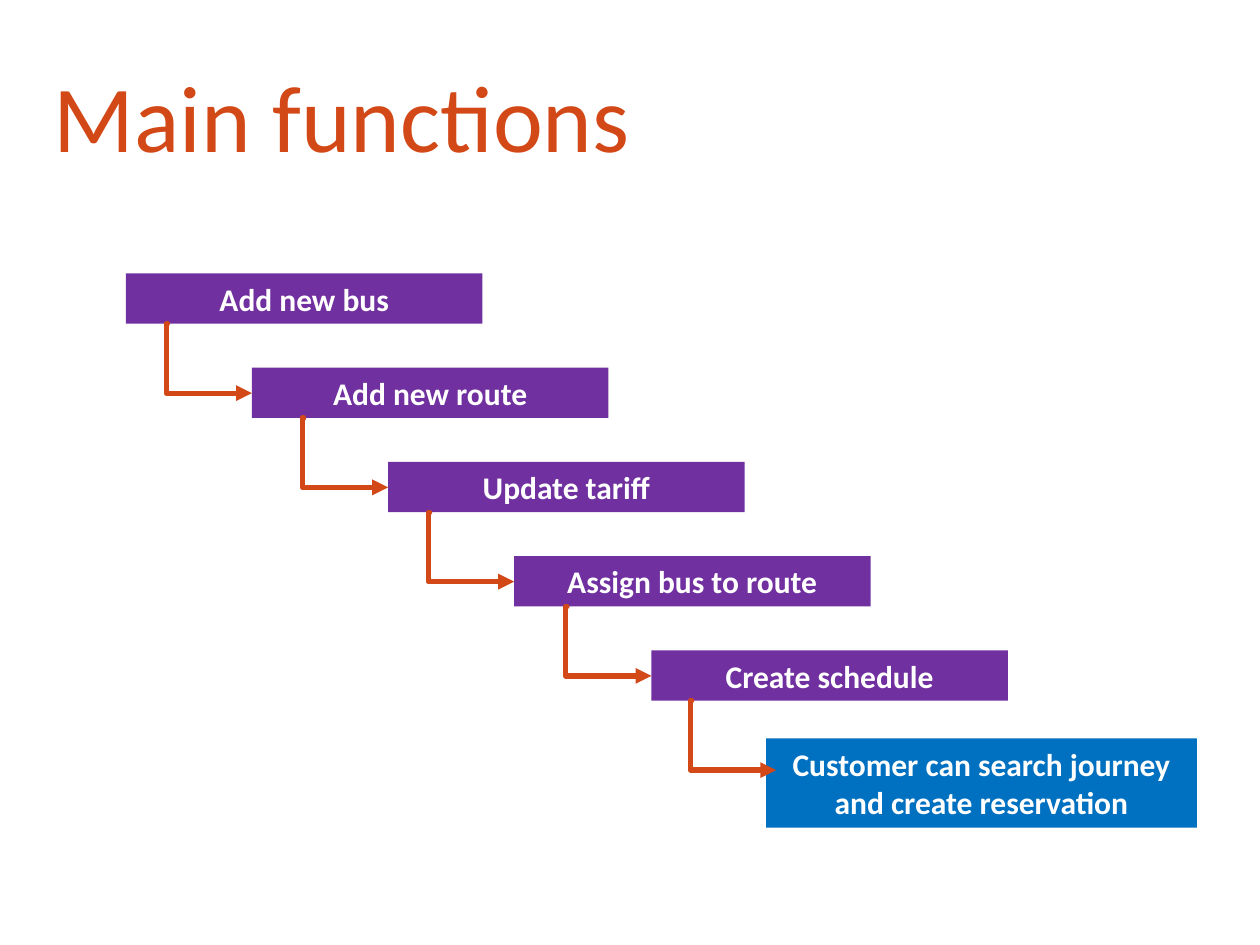
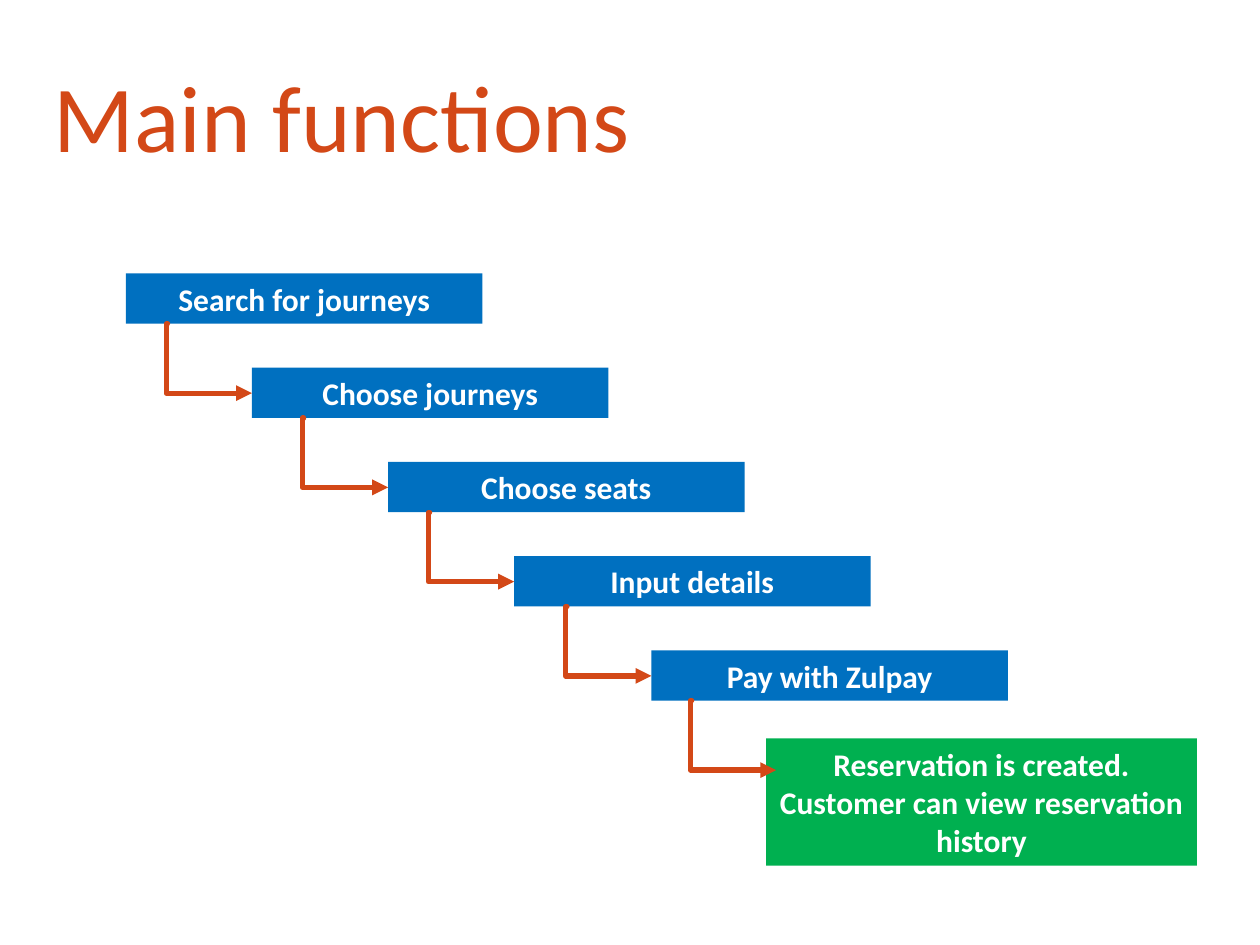
from dataclasses import dataclass

from pptx import Presentation
from pptx.dml.color import RGBColor
from pptx.enum.shapes import MSO_CONNECTOR, MSO_SHAPE
from pptx.enum.text import MSO_ANCHOR, PP_ALIGN
from pptx.oxml.ns import qn
from pptx.util import Inches, Pt
from lxml import etree

ELBOW = MSO_CONNECTOR.ELBOW
RECTANGLE = MSO_SHAPE.RECTANGLE
CENTER, LEFT = PP_ALIGN.CENTER, PP_ALIGN.LEFT
MIDDLE, BOTTOM = MSO_ANCHOR.MIDDLE, MSO_ANCHOR.BOTTOM


@dataclass(frozen=True)
class Theme:
    font: str = "Calibri"
    accent: str = "D34817"
    admin: str = "7030A0"
    customer: str = "0070C0"
    result: str = "00B050"
    label: str = "FFFFFF"
    title_size: int = 54
    label_size: int = 18
    arrow_width: int = 3


THEME = Theme()

TITLE = "Main functions"
FLOWS = [
    {
        "steps": ["Add new bus", "Add new route", "Update tariff",
                  "Assign bus to route", "Create schedule"],
        "step_color": THEME.admin,
        "outcome": "Customer can search journey and create reservation",
        "outcome_color": THEME.customer,
        "outcome_height": 0.71,
    },
    {
        "steps": ["Search for journeys", "Choose journeys", "Choose seats",
                  "Input details", "Pay with Zulpay"],
        "step_color": THEME.customer,
        "outcome": "Reservation is created. Customer can view reservation history",
        "outcome_color": THEME.result,
        "outcome_height": 1.01,
    },
]

STEP_LEFTS = [1, 2, 3.08, 4.08, 5.17]
ARROW_ENDS = STEP_LEFTS[1:] + [6.16]
STEP_TOP, STEP_PITCH = 2.17, 0.748
STEP_WIDTH, STEP_HEIGHT = 2.83, 0.4
ARROW_RUN, ARROW_DROP = 0.67, 0.55
OUTCOME_LEFT, OUTCOME_TOP, OUTCOME_WIDTH = 6.08, 5.86, 3.42


def write(shape, text, anchor, align, spacing, color, **font_format):
    frame = shape.text_frame
    frame.word_wrap = True
    frame.vertical_anchor = anchor
    para = frame.paragraphs[0]
    para.alignment = align
    para.line_spacing = spacing
    span = para.add_run()
    span.text = text
    span.font.color.rgb = RGBColor.from_string(color)
    for name, value in {"name": THEME.font, **font_format}.items():
        setattr(span.font, name, value)


def add_title(page):
    box = page.shapes.add_textbox(*map(Inches, (0.33, 0.5, 5.17, 0.92)))
    write(box, TITLE, BOTTOM, LEFT, 0.9, THEME.accent, size=Pt(THEME.title_size))


def add_box(page, text, color, *place):
    box = page.shapes.add_shape(RECTANGLE, *map(Inches, place))
    box.shadow.inherit = False
    box.fill.solid()
    box.fill.fore_color.rgb = RGBColor.from_string(color)
    box.line.fill.background()
    write(box, text, MIDDLE, CENTER, 1.0, THEME.label,
          size=Pt(THEME.label_size), bold=True)


def add_arrow(page, end_left, top):
    arrow = page.shapes.add_connector(ELBOW, *map(Inches, (
        end_left - ARROW_RUN, top, end_left, top + ARROW_DROP)))
    arrow.line.color.rgb = RGBColor.from_string(THEME.accent)
    arrow.line.width = Pt(THEME.arrow_width)
    properties = arrow._element.spPr
    line = properties.find(qn("a:ln"))
    line.set("cap", "rnd")
    etree.SubElement(line, qn("a:round"))
    etree.SubElement(line, qn("a:tailEnd"), type="triangle")
    etree.SubElement(properties, qn("a:effectLst"))
    bend = properties.find(qn("a:prstGeom")).find(qn("a:avLst"))
    etree.SubElement(bend, qn("a:gd"), name="adj1", fmla="val -1600")


def add_flow(page, flow):
    tops = [STEP_TOP + index * STEP_PITCH for index in range(len(STEP_LEFTS))]
    for text, left, top in zip(flow["steps"], STEP_LEFTS, tops):
        add_box(page, text, flow["step_color"], left, top, STEP_WIDTH, STEP_HEIGHT)
    add_box(page, flow["outcome"], flow["outcome_color"], OUTCOME_LEFT,
            OUTCOME_TOP, OUTCOME_WIDTH, flow["outcome_height"])
    for end_left, top in zip(ARROW_ENDS, tops):
        add_arrow(page, end_left, top + STEP_HEIGHT)


def main():
    deck = Presentation()
    deck.slide_width, deck.slide_height = Inches(10), Inches(7.5)
    for flow in FLOWS:
        page = deck.slides.add_slide(deck.slide_layouts[6])
        add_title(page)
        add_flow(page, flow)
    deck.save("out.pptx")


if __name__ == "__main__":
    main()
